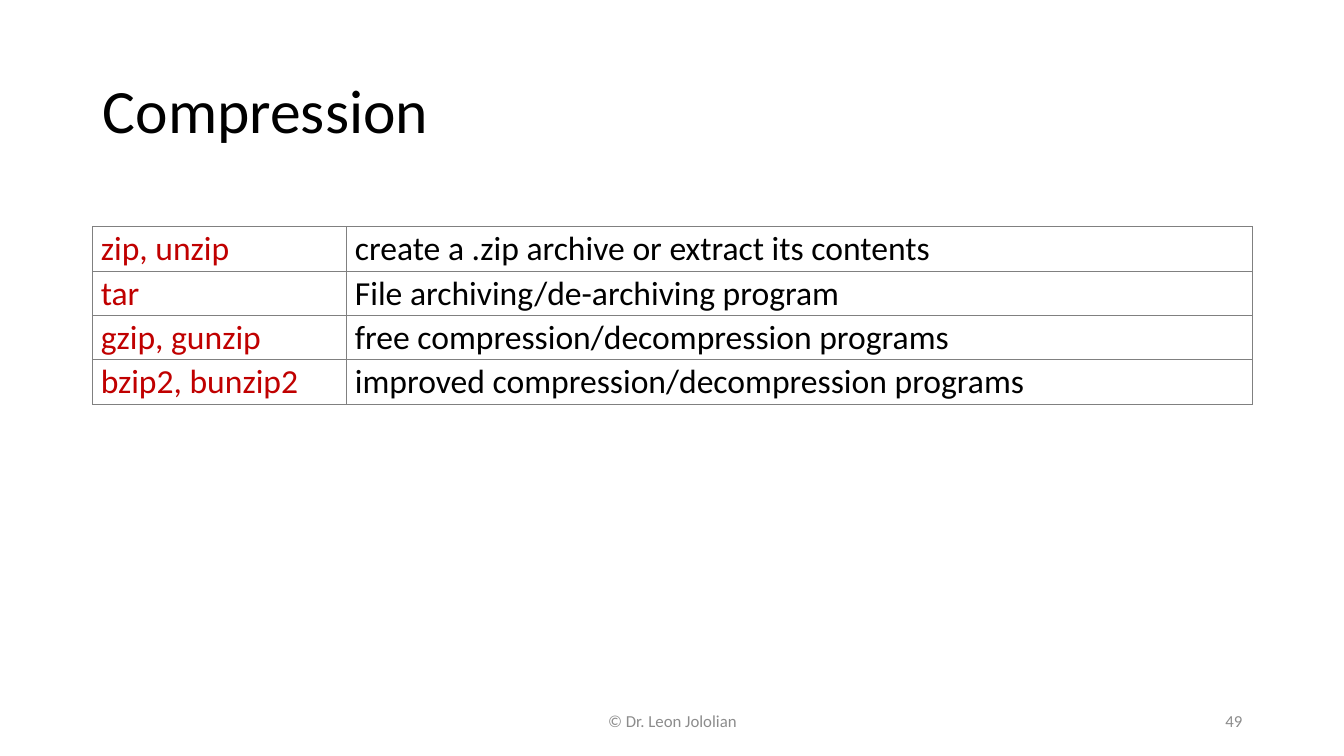
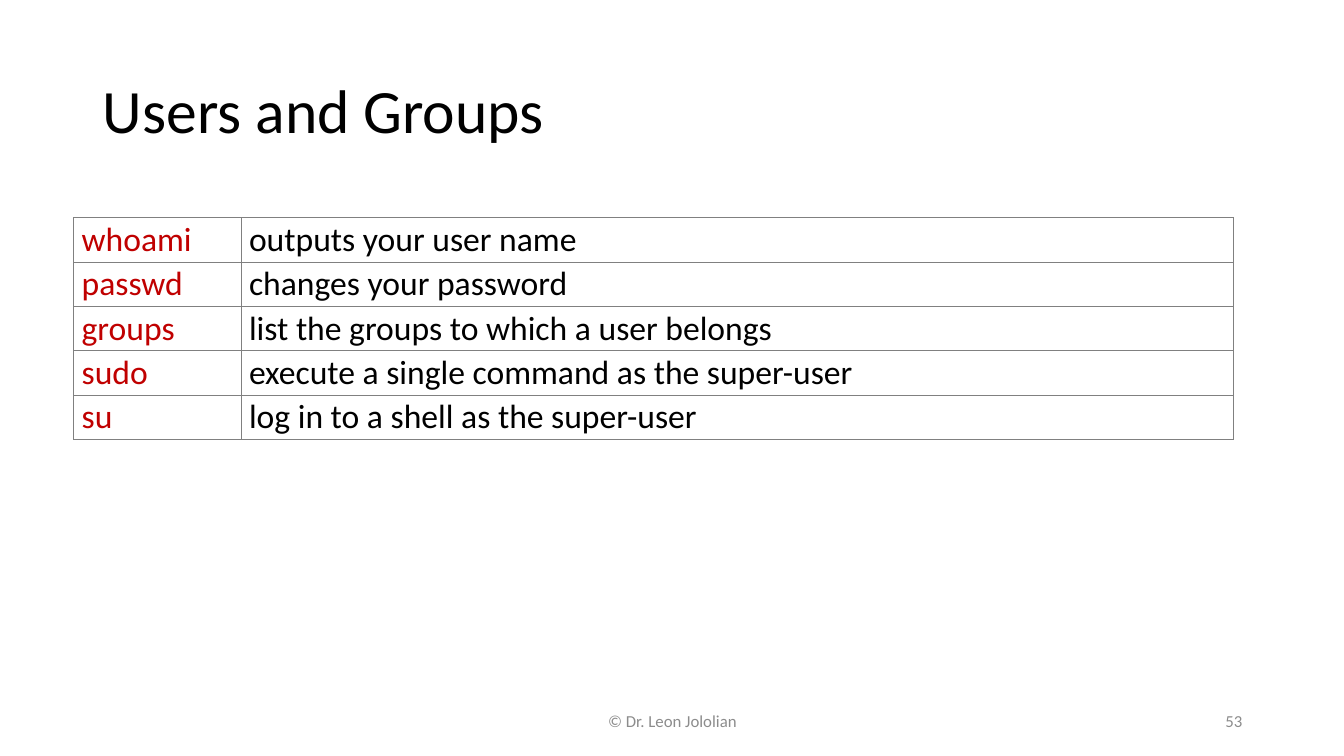
"""Build two slides that list shell commands in tables."""
from lxml import etree
from pptx import Presentation
from pptx.dml.color import RGBColor
from pptx.enum.text import MSO_ANCHOR, MSO_AUTO_SIZE, PP_ALIGN
from pptx.oxml.ns import qn
from pptx.util import Pt

LEFT, MID, RIGHT = PP_ALIGN.LEFT, PP_ALIGN.CENTER, PP_ALIGN.RIGHT
CENTER = MSO_ANCHOR.MIDDLE
NO_FIT = MSO_AUTO_SIZE.NONE
SCALE = 9144
FONT = "Calibri"
COLORS = {"text": "000000", "name": "C00000", "foot": "8C8C8C", "rule": "808080"}
WIDTH, ROW = 1150, 44
TITLE = (92, 40, WIDTH, 145)
CREDIT = (442, 695, 450, 40)
NUMBER = (942, 695, 300, 40)

SLIDES = [
    ("Compression", "49", (92, 225), 252, [
        ("zip, unzip", "create a .zip archive or extract its contents"),
        ("tar", "File archiving/de-archiving program"),
        ("gzip, gunzip", "free compression/decompression programs"),
        ("bzip2, bunzip2", "improved compression/decompression programs"),
    ]),
    ("Users and Groups", "53", (73, 216), 166, [
        ("whoami", "outputs your user name"),
        ("passwd", "changes your password"),
        ("groups", "list the groups to which a user belongs"),
        ("sudo", "execute a single command as the super-user"),
        ("su", "log in to a shell as the super-user"),
    ]),
]


def px(*sizes):
    """Turn px lengths into EMU."""
    return [size * SCALE for size in sizes]


def write(frame, text, size, color, align=LEFT):
    """Add one styled run to the first paragraph of a frame."""
    para = frame.paragraphs[0]
    para.alignment = align
    run = para.add_run()
    run.text = text
    run.font.name = FONT
    run.font.size = Pt(size)
    run.font.color.rgb = RGBColor.from_string(COLORS[color])
    return para


def add_title(slide, text):
    """Place and fill the title placeholder."""
    title = slide.shapes.title
    title.left, title.top, title.width, title.height = px(*TITLE)
    frame = title.text_frame
    frame.auto_size = NO_FIT
    frame.vertical_anchor = CENTER
    write(frame, text, 44, "text").line_spacing = 0.9


def add_note(slide, box, text, align):
    """Add a small grey text at the foot of the slide."""
    frame = slide.shapes.add_textbox(*px(*box)).text_frame
    frame.word_wrap = True
    frame.vertical_anchor = CENTER
    write(frame, text, 12, "foot", align)


def add_rules(cell):
    """Draw a thin line on all four sides of a cell."""
    props = cell._tc.get_or_add_tcPr()
    for place, side in enumerate(("lnL", "lnR", "lnT", "lnB")):
        line = etree.Element(qn(f"a:{side}"), w=str(Pt(0.6)))
        fill = etree.SubElement(line, qn("a:solidFill"))
        etree.SubElement(fill, qn("a:srgbClr"), val=COLORS["rule"])
        props.insert(place, line)


def fill_cell(cell, text, color):
    """Set the margins, text and lines of a cell."""
    cell.margin_left, cell.margin_right = px(8, 8)
    cell.margin_top, cell.margin_bottom = px(2, 1)
    cell.fill.background()
    write(cell.text_frame, text, 24, color)
    add_rules(cell)


def add_grid(slide, spot, split, rows):
    """Add a table of command names and their uses."""
    box = px(*spot, WIDTH, ROW * len(rows))
    table = slide.shapes.add_table(len(rows), 2, *box).table
    table.first_row = table.horz_banding = False
    for col, width in zip(table.columns, px(split, WIDTH - split)):
        col.width = width
    for row, texts in zip(table.rows, rows):
        row.height = ROW * SCALE
        for cell, text, color in zip(row.cells, texts, ("name", "text")):
            fill_cell(cell, text, color)


def main():
    """Build and save the deck."""
    deck = Presentation()
    deck.slide_width, deck.slide_height = px(1333, 750)
    for title, number, spot, split, rows in SLIDES:
        slide = deck.slides.add_slide(deck.slide_layouts[5])
        add_title(slide, title)
        add_grid(slide, spot, split, rows)
        add_note(slide, CREDIT, "© Dr. Leon Jololian", MID)
        add_note(slide, NUMBER, number, RIGHT)
    deck.save("out.pptx")


if __name__ == "__main__":
    main()
